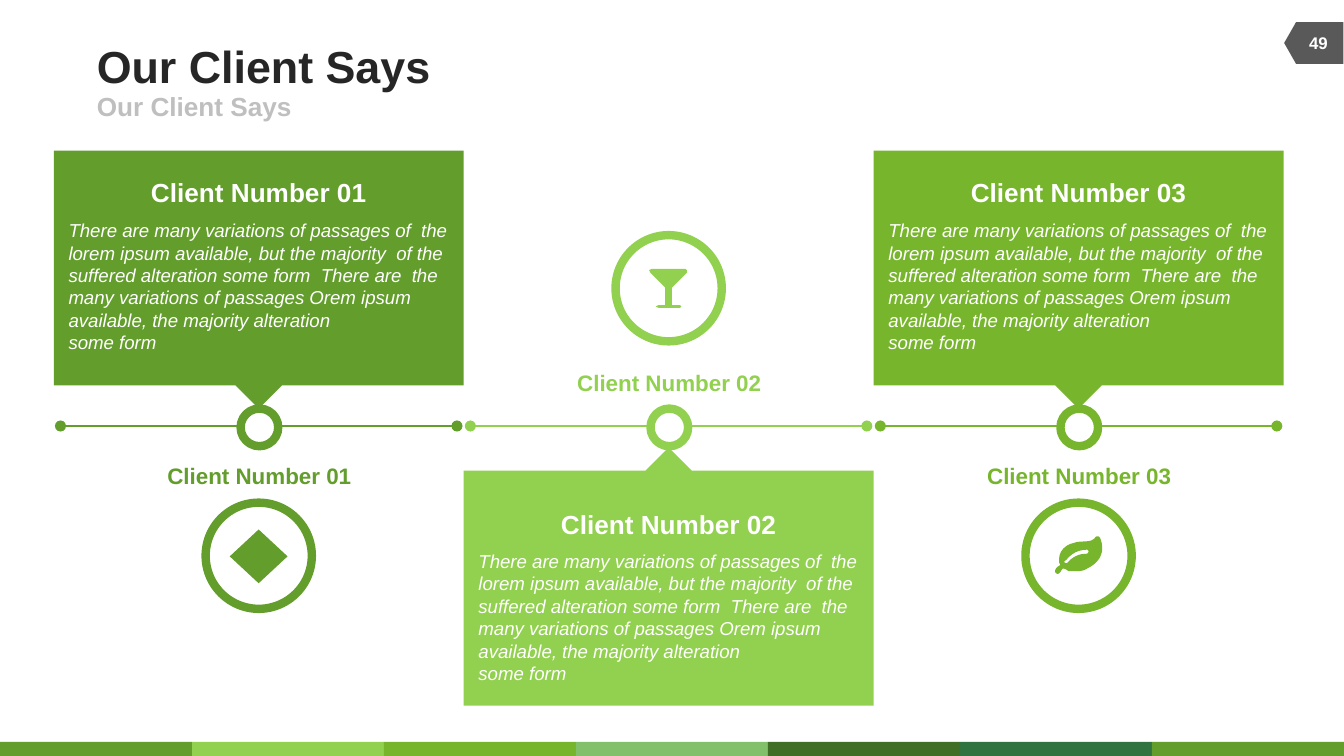
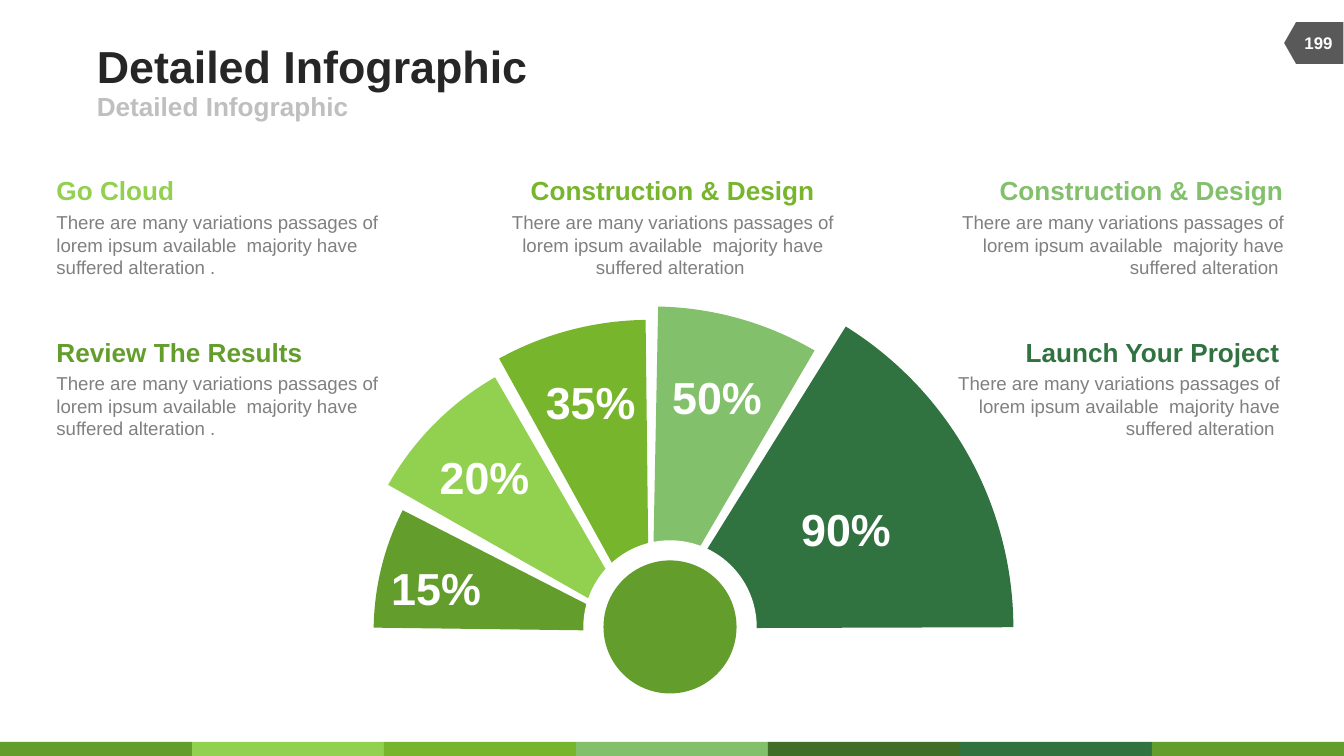
from lxml import etree
from pptx import Presentation
from pptx.dml.color import RGBColor
from pptx.enum import shapes, text
from pptx.oxml.ns import qn
from pptx.util import Inches, Pt

COLORS = {
    "leaf": "639D2C", "lime": "92D050", "grass": "77B52D", "sage": "82C06C",
    "moss": "406E26", "pine": "307240", "white": "FFFFFF", "tag": "595959",
    "title": "262626", "subtitle": "BFBFBF", "body": "808080",
}
FONT = "Arial"
BAND = ["leaf", "lime", "grass", "sage", "moss", "pine", "leaf"]
LEFT, CENTER, RIGHT = text.PP_ALIGN.LEFT, text.PP_ALIGN.CENTER, text.PP_ALIGN.RIGHT
SHAPE = shapes.MSO_SHAPE

QUOTE = ("There are many variations of passages of  the lorem ipsum available, but the "
         "majority  of the suffered alteration some form  There are  the many variations of "
         "passages Orem ipsum available, the majority alteration \vsome form")
NOTE = "There are many variations passages of lorem ipsum available  majority have suffered alteration "

GLASS = [(28, 3), (17, 14), (17, 27), (23, 27), (24, 28), (23, 29), (7, 29), (5, 28),
         (7, 27), (12, 27), (12, 14), (1, 3), (0, 1), (2, 0), (27, 0), (28, 1)]
LEAF_EDGE = [(35, 11), (34, 17), (30, 21), (24, 24), (21, 26), (18, 26), (15, 26),
             (14, 26), (11, 26), (10, 26), (9, 25), (7, 24), (6, 24), (5, 24), (4, 28),
             (2, 28), (1, 28), (0, 27), (0, 26), (0, 23), (4, 22), (4, 21), (4, 21),
             (3, 20), (3, 19), (3, 18), (3, 18), (3, 17), (3, 11), (8, 6), (14, 5),
             (18, 3), (26, 5), (29, 2), (30, 1), (30, 0), (32, 0), (34, 0), (35, 6),
             (35, 7), (35, 9), (35, 10), (35, 11)]
LEAF_VEIN = [(24, 10), (17, 10), (12, 13), (8, 18), (8, 18), (7, 18), (7, 19), (7, 20),
             (8, 20), (9, 20), (10, 19), (11, 18), (12, 17), (16, 14), (19, 13), (24, 13),
             (24, 13), (25, 12), (25, 11), (25, 11), (24, 10), (24, 10)]


def rgb(color):
    """Return the named colour."""
    return RGBColor.from_string(COLORS[color])


def style(frame, content, size, color, bold=False, italic=False, align=LEFT, before=0):
    """Fill a text frame and format its runs."""
    frame.text = content
    paragraph = frame.paragraphs[0]
    paragraph.alignment = align
    if before:
        paragraph.space_before = Pt(before)
    for run in paragraph.runs:
        run.font.name, run.font.size = FONT, Pt(size)
        run.font.bold, run.font.italic = bold, italic
        run.font.color.rgb = rgb(color)


def set_insets(frame, right=0, bottom=0):
    """Remove the left and top insets and set the others."""
    frame.margin_left = frame.margin_top = 0
    frame.margin_right, frame.margin_bottom = Inches(right), Inches(bottom)


def add_label(slide, box, content, size, color, wrap=False, middle=False, insets=(0, 0), **look):
    """Add a text box that grows with its text."""
    frame = slide.shapes.add_textbox(*map(Inches, box)).text_frame
    set_insets(frame, *insets)
    frame.word_wrap = wrap
    frame.auto_size = text.MSO_AUTO_SIZE.SHAPE_TO_FIT_TEXT
    if middle:
        frame.vertical_anchor = text.MSO_ANCHOR.MIDDLE
    style(frame, content, size, color, **look)


def paint(shape, fill=None, line=None):
    """Set a flat fill and a line, or none."""
    shape.shadow.inherit = False
    if fill:
        shape.fill.solid()
        shape.fill.fore_color.rgb = rgb(fill)
    else:
        shape.fill.background()
    if line:
        shape.line.color.rgb = rgb(line)
        shape.line.width = Pt(4.5)
    else:
        shape.line.fill.background()
    return shape


def add_shape(slide, kind, box, fill=None, line=None):
    """Add a flat preset shape."""
    return paint(slide.shapes.add_shape(kind, *map(Inches, box)), fill, line)


def add_base(deck, title, number):
    """Add a slide with its title, subtitle, page tag and colour band."""
    slide = deck.slides.add_slide(deck.slide_layouts[2])
    width = 10 / len(BAND)
    for i, color in enumerate(BAND):
        add_shape(slide, SHAPE.RECTANGLE, (i * width, 5.52, width, 0.11), color)
    tag = add_shape(slide, SHAPE.FLOWCHART_OFFPAGE_CONNECTOR, (9.62, 0.1, 0.31, 0.44), "tag")
    tag.rotation = 90
    for holder, box, size, color in (
            (slide.shapes.title, (0.72, 0.29, 6.17, 0.39), 24, "title"),
            (slide.placeholders[1], (0.72, 0.68, 4.5, 0.22), 14, "subtitle")):
        holder.left, holder.top, holder.width, holder.height = map(Inches, box)
        frame = holder.text_frame
        set_insets(frame)
        frame.word_wrap = False
        frame.auto_size = text.MSO_AUTO_SIZE.NONE
        frame.vertical_anchor = text.MSO_ANCHOR.MIDDLE
        style(frame, title, size, color, bold=True)
        frame.paragraphs[0].runs[0]._r.get_or_add_rPr().set("cap", "none")
    page = slide.shapes.add_textbox(*map(Inches, (9.6, 0.17, 0.42, 0.3))).text_frame
    page.word_wrap = True
    page.vertical_anchor = text.MSO_ANCHOR.MIDDLE
    style(page, number, 9, "white", bold=True, align=CENTER)
    return slide


def add_track(slide, left, top, color):
    """Add the timeline piece with a dot at each end."""
    track = slide.shapes.add_connector(
        shapes.MSO_CONNECTOR.STRAIGHT, *map(Inches, (left + 3, top, left + 0.05, top)))
    track.line.color.rgb = rgb(color)
    track.line.width = Pt(1.5)
    line = track.line._get_or_add_ln()
    for end in ("a:headEnd", "a:tailEnd"):
        etree.SubElement(line, qn(end)).set("type", "oval")
    etree.SubElement(track._element.spPr, qn("a:effectLst"))


def curve(points, steps=6):
    """Return points along a chain of cubic curves."""
    traced = [points[0]]
    for i in range(0, len(points) - 1, 3):
        for t in (step / steps for step in range(1, steps + 1)):
            weights = ((1 - t) ** 3, 3 * t * (1 - t) ** 2, 3 * t * t * (1 - t), t ** 3)
            traced.append(tuple(sum(w * p[axis] for w, p in zip(weights, points[i:i + 4]))
                                for axis in (0, 1)))
    return traced


def add_icon(slide, left, top, outlines, color):
    """Draw outlines, given in hundredths of an inch."""
    first, *others = [[(Inches(x / 100), Inches(y / 100)) for x, y in outline]
                      for outline in outlines]
    builder = slide.shapes.build_freeform(*first[0])
    builder.add_line_segments(first[1:])
    for outline in others:
        builder.move_to(*outline[0])
        builder.add_line_segments(outline[1:])
    paint(builder.convert_to_shape(Inches(left), Inches(top)), color)


def add_client(slide, left, name, color, below=False):
    """Add one client's quote, timeline piece, name and ring, and return the ring's corner."""
    callout_top, quote_top, heading_top, name_top, ring_top = (
        (3.33, 4.09, 3.78, 2.75, 1.75) if below else (1.12, 1.63, 1.31, 3.44, 3.74))
    add_track(slide, left, 3.17, color)
    add_label(slide, (left + 0.84, name_top, 1.38, 0.2), name, 12, color, bold=True, align=CENTER)
    callout = add_shape(slide, SHAPE.DOWN_ARROW_CALLOUT, (left, callout_top, 3.05, 1.92), color)
    for i, ratio in enumerate((0.26, 0.09, 0.09, 0.91)):
        callout.adjustments[i] = ratio
    if below:
        callout._element.spPr.xfrm.set("flipV", "1")
    add_label(slide, (left + 0.11, quote_top, 2.92, 1.06), QUOTE, 10, "white", wrap=True,
              insets=(0.1, 0.05), italic=True, before=2)
    add_label(slide, (left + 0.72, heading_top, 1.61, 0.24), name, 14, "white",
              bold=True, align=CENTER)
    add_shape(slide, SHAPE.OVAL, (left + 1.39, 3.04, 0.28, 0.28), "white", color)
    add_shape(slide, SHAPE.OVAL, (left + 1.13, ring_top, 0.79, 0.79), line=color)
    return left + 1.13, ring_top


def add_clients_slide(deck):
    """Build the slide of client quotes."""
    slide = add_base(deck, "Our Client Says", "49")
    corners = [add_client(slide, 0.4 + 3.05 * i, f"Client Number 0{i + 1}", color, i == 1)
               for i, color in enumerate(("leaf", "lime", "grass"))]
    (box_x, box_y), (glass_x, glass_y), (leaf_x, leaf_y) = corners
    add_shape(slide, SHAPE.DIAMOND, (box_x + 0.18, box_y + 0.2, 0.43, 0.4), "leaf")
    add_icon(slide, glass_x + 0.25, glass_y + 0.25, [GLASS], "lime")
    add_icon(slide, leaf_x + 0.22, leaf_y + 0.25, [curve(LEAF_EDGE), curve(LEAF_VEIN)], "grass")


def add_wedge(slide, left, top, size, start, end, color):
    """Add a wedge between two angles, in degrees clockwise from the right."""
    turn = 240
    wedge = add_shape(slide, SHAPE.PIE, (left, top, size, size), color)
    wedge.rotation = turn
    for i, angle in enumerate((start, end)):
        wedge.adjustments[i] = (angle - turn) % 360 * 0.6


def add_note(slide, left, top, heading, heading_width, color, align=LEFT, ending=""):
    """Add a heading over its note, both on the same edge or centre."""
    width = 2.49
    shift = {LEFT: 0, CENTER: 0.5, RIGHT: 1}[align] * (width - heading_width)
    add_label(slide, (left, top + 0.27, width, 0.5), NOTE + ending, 10, "body", wrap=True,
              align=align, before=2)
    add_label(slide, (left + shift, top, heading_width, 0.24), heading, 14, color,
              bold=True, align=align)


def add_fan_slide(deck):
    """Build the slide of the fan of percentages."""
    slide = add_base(deck, "Detailed Infographic", "199")
    for wedge in ((2.61, 2.52, 4.29, 209.54, 240.03, "lime"),
                  (2.52, 2.38, 4.62, 241.1, 269.34, "grass"),
                  (2.45, 2.28, 4.8, 271.12, 300.29, "sage"),
                  (2.25, 2.03, 5.29, 301.9, 359.82, "pine"),
                  (2.78, 2.72, 3.95, 180.73, 207.07, "leaf")):
        add_wedge(slide, *wedge)
    add_shape(slide, SHAPE.OVAL, (4.34, 4.02, 1.29, 1.29), "white")
    add_shape(slide, SHAPE.OVAL, (4.49, 4.17, 0.99, 0.99), "leaf")
    for left, top, share in ((2.91, 4.17, "15%"), (3.27, 3.35, "20%"), (4.06, 2.79, "35%"),
                             (5, 2.75, "50%"), (5.96, 3.73, "90%")):
        add_label(slide, (left, top, 0.67, 0.4), share, 24, "white", middle=True,
                  bold=True, align=CENTER, before=4.8)
    add_note(slide, 0.42, 1.3, "Go Cloud", 0.88, "lime", ending=".")
    add_note(slide, 0.42, 2.5, "Review The Results", 1.84, "leaf", ending=".")
    add_note(slide, 3.76, 1.3, "Construction & Design", 2.12, "grass", CENTER)
    add_note(slide, 7.06, 1.3, "Construction & Design", 2.12, "sage", RIGHT)
    add_note(slide, 7.03, 2.5, "Launch Your Project", 1.9, "pine", RIGHT)


def main():
    """Build and save the deck."""
    deck = Presentation()
    deck.slide_width = Inches(10)
    deck.slide_height = Inches(10 * 9 / 16)
    add_clients_slide(deck)
    add_fan_slide(deck)
    deck.save("out.pptx")


if __name__ == "__main__":
    main()
